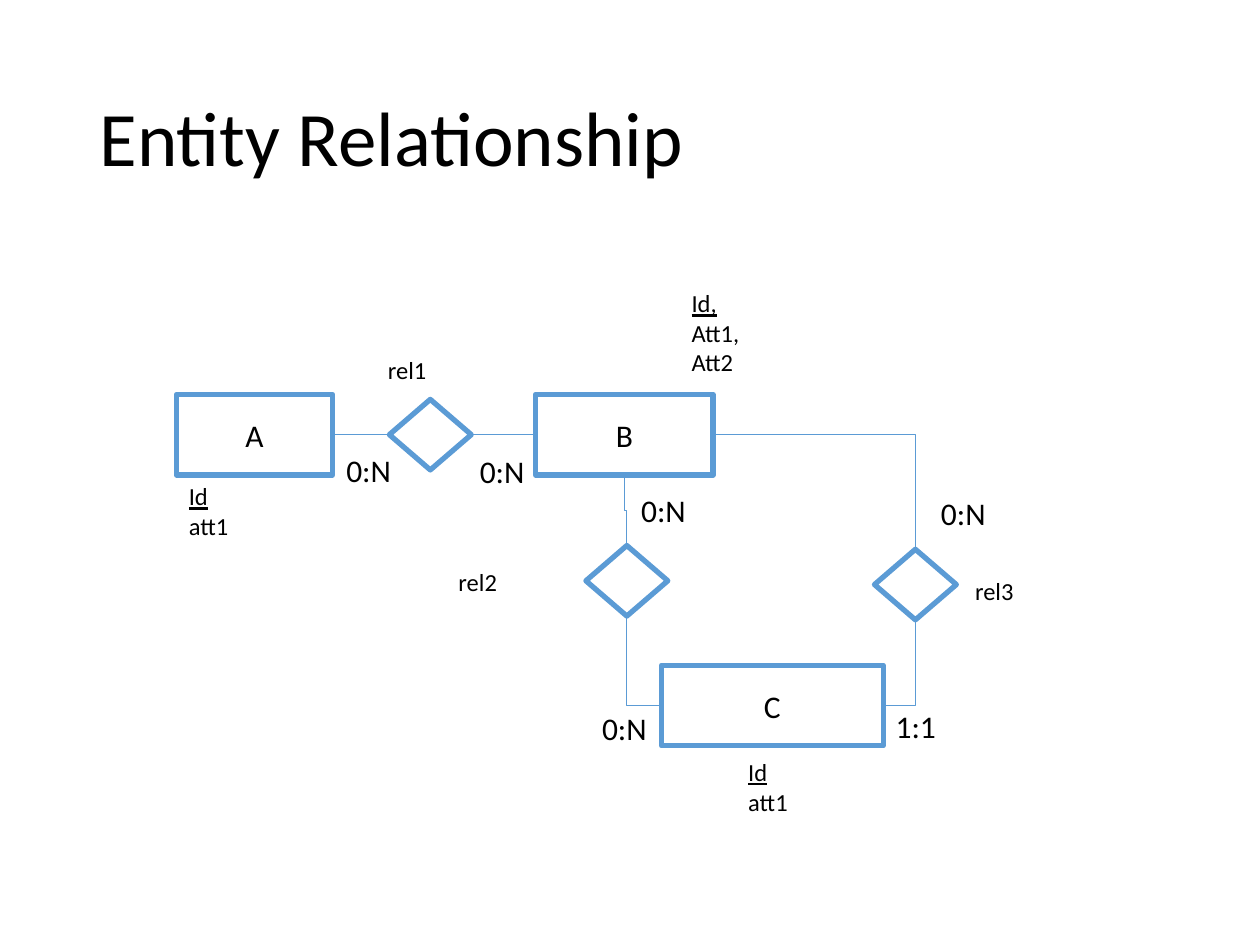
from pptx import Presentation
from pptx.dml.color import RGBColor
from pptx.enum.shapes import MSO_CONNECTOR, MSO_SHAPE
from pptx.enum.text import MSO_ANCHOR, MSO_AUTO_SIZE, PP_ALIGN
from pptx.oxml.ns import qn
from pptx.util import Inches, Pt
from lxml.etree import SubElement

FONT = "Calibri"
COLORS = {"line": "5B9BD5", "fill": "FFFFFF", "text": "000000"}
TOP, LEFT, BOTTOM, RIGHT = range(4)

TITLE = "Entity Relationship"
# Entities: name, left, top, width
ENTITIES = [("A", 1.4, 3.13, 1.24), ("B", 4.25, 3.13, 1.41), ("C", 5.25, 5.28, 1.76)]
ENTITY_H = 0.64
# Relations: name, left, top of diamond, left, top of label
RELATIONS = [
    ("rel1", 3.09, 3.17, 2.98, 2.77),
    ("rel2", 4.65, 4.33, 3.54, 4.45),
    ("rel3", 6.94, 4.36, 7.64, 4.52),
]
DIAMOND = (0.65, 0.56)
# Links: entity, side, relation, side, preset
LINKS = [
    ("A", RIGHT, "rel1", LEFT, "line"),
    ("B", LEFT, "rel1", RIGHT, "line"),
    ("B", RIGHT, "rel3", TOP, "bentConnector2"),
    ("C", RIGHT, "rel3", BOTTOM, "bentConnector2"),
    ("C", LEFT, "rel2", BOTTOM, "bentConnector2"),
]
# Cardinalities: text, left, top, width
COUNTS = [
    ("0:N", 2.65, 3.53, 0.56), ("0:N", 3.71, 3.54, 0.56),
    ("0:N", 4.99, 3.85, 0.56), ("0:N", 4.68, 5.58, 0.56),
    ("0:N", 7.37, 3.87, 0.56), ("1:1", 7.01, 5.56, 0.53),
]
# Attributes, key first: lines, left, top, width, height
ATTRS = [
    (["Id", "att1"], 1.4, 3.77, 1.1, 0.57),
    (["Id,", "Att1,", "Att2"], 5.39, 2.24, 1.94, 1.04),
    (["Id", "att1"], 5.84, 5.96, 1.1, 0.57),
]


def rgb(name):
    return RGBColor.from_string(COLORS[name])


def style(para, size):
    para.font.name, para.font.size = FONT, Pt(size)
    para.font.color.rgb = rgb("text")


def label(lines, box, size, wrap=False, key=False):
    frame = slide.shapes.add_textbox(*map(Inches, box)).text_frame
    frame.word_wrap = wrap
    frame.auto_size = MSO_AUTO_SIZE.SHAPE_TO_FIT_TEXT
    frame.text = "\n".join(lines)
    for para in frame.paragraphs:
        style(para, size)
    if key:
        frame.paragraphs[0].font.underline = True


def node(kind, box, text=""):
    shape = slide.shapes.add_shape(kind, *map(Inches, box))
    shape.shadow.inherit = False
    shape.fill.solid()
    shape.fill.fore_color.rgb = rgb("fill")
    shape.line.color.rgb = rgb("line")
    shape.line.width = Pt(3)
    if text:
        shape.text_frame.text = text
        shape.text_frame.vertical_anchor = MSO_ANCHOR.MIDDLE
        para = shape.text_frame.paragraphs[0]
        para.alignment = PP_ALIGN.CENTER
        style(para, 18)
    return shape


def link(preset, ends=(0, 0, 0, 0)):
    kind = MSO_CONNECTOR.STRAIGHT if preset == "line" else MSO_CONNECTOR.ELBOW
    wire = slide.shapes.add_connector(kind, *ends)
    wire.line.color.rgb = rgb("line")
    wire.line.width = Pt(0.5)
    props = wire._element.spPr
    props.find(qn("a:prstGeom")).set("prst", preset)
    SubElement(props, qn("a:effectLst"))
    return wire


prs = Presentation()
prs.slide_width, prs.slide_height = Inches(10), Inches(7.5)
slide = prs.slides.add_slide(prs.slide_layouts[5])

# Title
title = slide.shapes.title
title.left, title.top, title.width, title.height = map(Inches, (0.69, 0.4, 8.62, 1.45))
title.text_frame.text = TITLE
title.text_frame.vertical_anchor = MSO_ANCHOR.MIDDLE
head = title.text_frame.paragraphs[0]
head.alignment = PP_ALIGN.LEFT
head.line_spacing = 0.9
style(head, 44)

# Entities and relations
nodes = {}
for name, x, y, w in ENTITIES:
    nodes[name] = node(MSO_SHAPE.RECTANGLE, (x, y, w, ENTITY_H), name)
for name, x, y, tx, ty in RELATIONS:
    nodes[name] = node(MSO_SHAPE.DIAMOND, (x, y, *DIAMOND))
    label([name], (tx, ty, 0.51, 0.34), 14)

# Links, leaving each entity sideways
for entity, side, rel, end, preset in LINKS:
    wire = link(preset)
    wire.begin_connect(nodes[entity], side)
    wire.end_connect(nodes[rel], end)

# Vertical link with a small jog: drawn flat about its centre, then turned
upper, lower = nodes["B"], nodes["rel2"]
x1, y1 = lower.left + lower.width // 2, lower.top
x2, y2 = upper.left + upper.width // 2, upper.top + upper.height
cx, cy, run, jog = (x1 + x2) // 2, (y1 + y2) // 2, (y1 - y2) // 2, (x1 - x2) // 2
wire = link("bentConnector3", (cx - run, cy + jog, cx + run, cy - jog))
wire._element.spPr.find(qn("a:xfrm")).set("rot", str(270 * 60000))

# Cardinalities and attributes
for text, x, y, w in COUNTS:
    label([text], (x, y, w, 0.4), 18)
for lines, *box in ATTRS:
    label(lines, box, 14, wrap=True, key=True)

prs.save("out.pptx")
